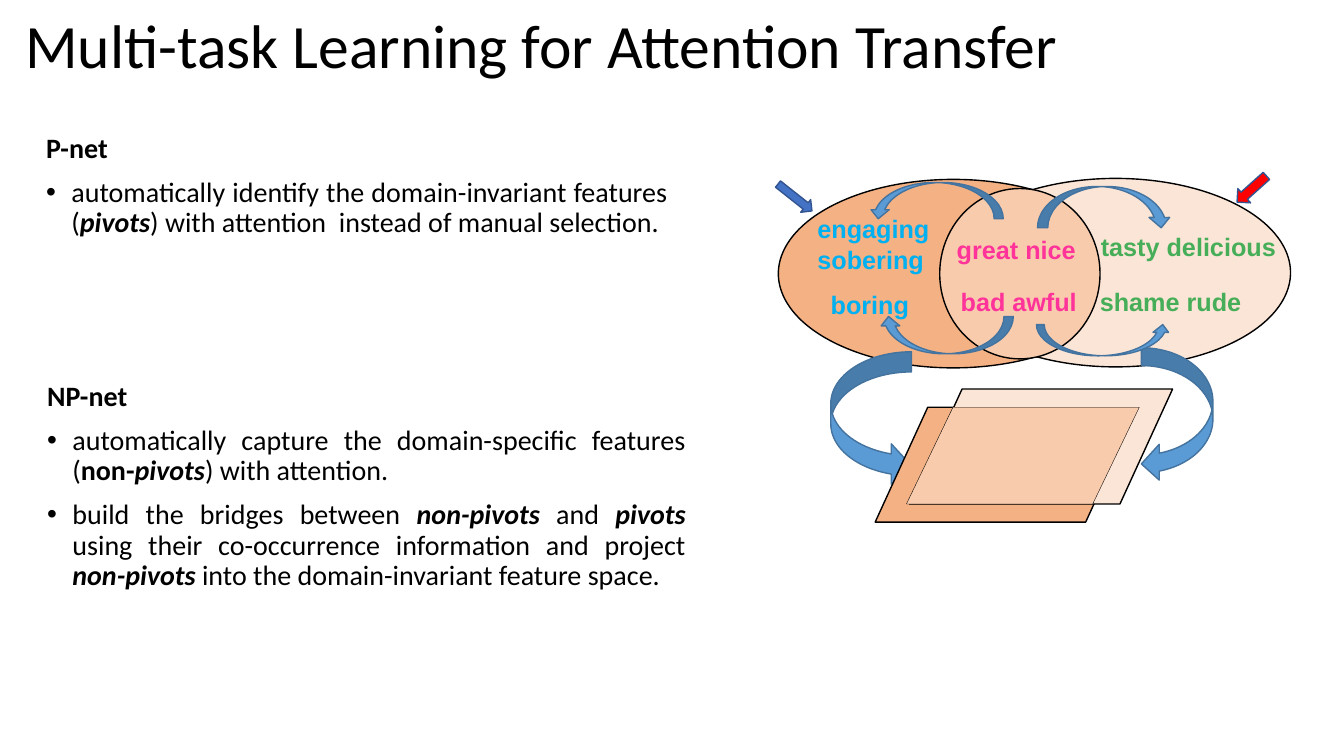
"""Build the attention transfer slide with its domain overlap diagram."""
from lxml import etree
from pptx import Presentation
from pptx import util as u
from pptx.dml.color import RGBColor
from pptx.enum import shapes, text
from pptx.oxml.ns import qn

PX = 9144
HUES = {
    "black": "000000", "deep": "F4B183", "pale": "FBE5D6", "mid": "F8CBAD",
    "sky": "00B0F0", "green": "46AE58", "pink": "FF3399",
    "blue": "4472C4", "navy": "325491", "red": "FF0000",
    "steel": "5B9BD5", "edge": "43739E",
}
KIND = shapes.MSO_SHAPE


def hue(name):
    return RGBColor.from_string(HUES[name])


def write(para, words, font="Calibri", size=20, color="black", bold=False, slant=False):
    run = para.add_run()
    run.text = words
    face = run.font
    face.name, face.size = font, u.Pt(size)
    face.bold, face.italic = bold, slant
    face.color.rgb = hue(color)


class Deck:
    """Hold the deck, its current slide and the ways to draw on it."""

    def __init__(self, wide, high):
        self.prs = Presentation()
        self.prs.slide_width = wide * PX
        self.prs.slide_height = high * PX
        self.slide = self.prs.slides.add_slide(self.prs.slide_layouts[6])

    def box(self, spot, wrap=True):
        frame = self.slide.shapes.add_textbox(*[n * PX for n in spot]).text_frame
        frame.word_wrap = wrap
        return frame

    def title(self, spot, words):
        frame = self.box(spot)
        frame.vertical_anchor = text.MSO_ANCHOR.MIDDLE
        para = frame.paragraphs[0]
        para.line_spacing = 0.9
        write(para, words, size=44)

    def label(self, spot, words, color, wrap=False):
        frame = self.box(spot, wrap)
        frame.auto_size = text.MSO_AUTO_SIZE.SHAPE_TO_FIT_TEXT
        write(frame.paragraphs[0], words, font="Arial", size=18, color=color, bold=True)

    def notes(self, spot, head, items):
        frame = self.box(spot)
        para = frame.paragraphs[0]
        write(para, head, bold=True)
        self.lay(para)
        for item in items:
            para = frame.add_paragraph()
            self.bullet(para)
            self.lay(para)
            para.space_before = u.Pt(10)
            for words, style in item:
                write(para, words, bold="b" in style, slant="i" in style)

    def lay(self, para):
        para.alignment = text.PP_ALIGN.JUSTIFY
        para.line_spacing = 0.9

    def bullet(self, para):
        props = para._p.get_or_add_pPr()
        props.set("marL", str(25 * PX))
        props.set("indent", str(-25 * PX))
        etree.SubElement(props, qn("a:buFont")).set("typeface", "Arial")
        etree.SubElement(props, qn("a:buChar")).set("char", "•")

    def shape(self, kind, spot, fill, line="black", width=1, turn=0):
        form = self.slide.shapes.add_shape(kind, *[n * PX for n in spot])
        form.shadow.inherit = False
        form.fill.solid()
        form.fill.fore_color.rgb = hue(fill)
        form.line.color.rgb = hue(line)
        form.line.width = u.Pt(width)
        form.rotation = turn

    def curve(self, kind, spot, turn=0):
        self.shape(kind, spot, "steel", "edge", turn=turn)


def main():
    deck = Deck(1333, 750)
    deck.notes((36, 128, 636, 114), "P-net", [
        [("automatically identify the domain-invariant features (", ""), ("pivots", "bi"),
         (") with attention  instead of manual selection.", "")],
    ])
    deck.notes((37, 374, 653, 277), "NP-net", [
        [("automatically capture the domain-specific features (", ""), ("non-", "b"),
         ("pivots", "bi"), (") with attention.", "")],
        [("build the bridges between ", ""), ("non-pivots", "bi"), (" and ", ""),
         ("pivots", "bi"), (" using their co-occurrence information and project ", ""),
         ("non-pivots", "bi"), (" into the domain-invariant feature space.", "")],
    ])
    deck.title((15, 1, 1150, 95), "Multi-task Learning for Attention Transfer")

    deck.shape(KIND.OVAL, (772, 178, 347, 187), "deep")
    deck.shape(KIND.OVAL, (933, 177, 347, 187), "pale")
    deck.shape(KIND.OVAL, (932, 187, 159, 169), "mid")
    deck.shape(KIND.RIGHT_ARROW, (767, 188, 43, 16), "blue", "navy", turn=38.3)
    deck.shape(KIND.RIGHT_ARROW, (1222, 178, 39, 19), "red", "navy", turn=138.2)

    deck.label((801, 207, 140, 71), "engaging sobering", "sky", wrap=True)
    for spot, words, color in [
        ((814, 282, 99, 40), "boring", "sky"),
        ((1082, 225, 196, 40), "tasty delicious", "green"),
        ((1081, 279, 162, 40), "shame rude", "green"),
        ((939, 228, 139, 40), "great nice", "pink"),
        ((943, 279, 137, 40), "bad awful", "pink"),
    ]:
        deck.label(spot, words, color)

    deck.curve(KIND.CURVED_RIGHT_ARROW, (824, 349, 80, 133))
    deck.curve(KIND.CURVED_LEFT_ARROW, (1132, 345, 71, 133))
    deck.shape(KIND.FLOWCHART_DATA, (868, 404, 261, 114), "deep")
    deck.shape(KIND.FLOWCHART_DATA, (902, 386, 261, 114), "pale")
    deck.shape(KIND.FLOWCHART_DATA, (899, 404, 231, 96), "mid", width=0.25)
    deck.curve(KIND.CURVED_DOWN_ARROW, (1029, 185, 133, 41))
    deck.curve(KIND.CURVED_UP_ARROW, (862, 181, 133, 36), turn=180)
    deck.curve(KIND.CURVED_UP_ARROW, (1028, 322, 133, 31))
    deck.curve(KIND.CURVED_DOWN_ARROW, (872, 314, 133, 37), turn=180)
    deck.prs.save("out.pptx")


if __name__ == "__main__":
    main()
